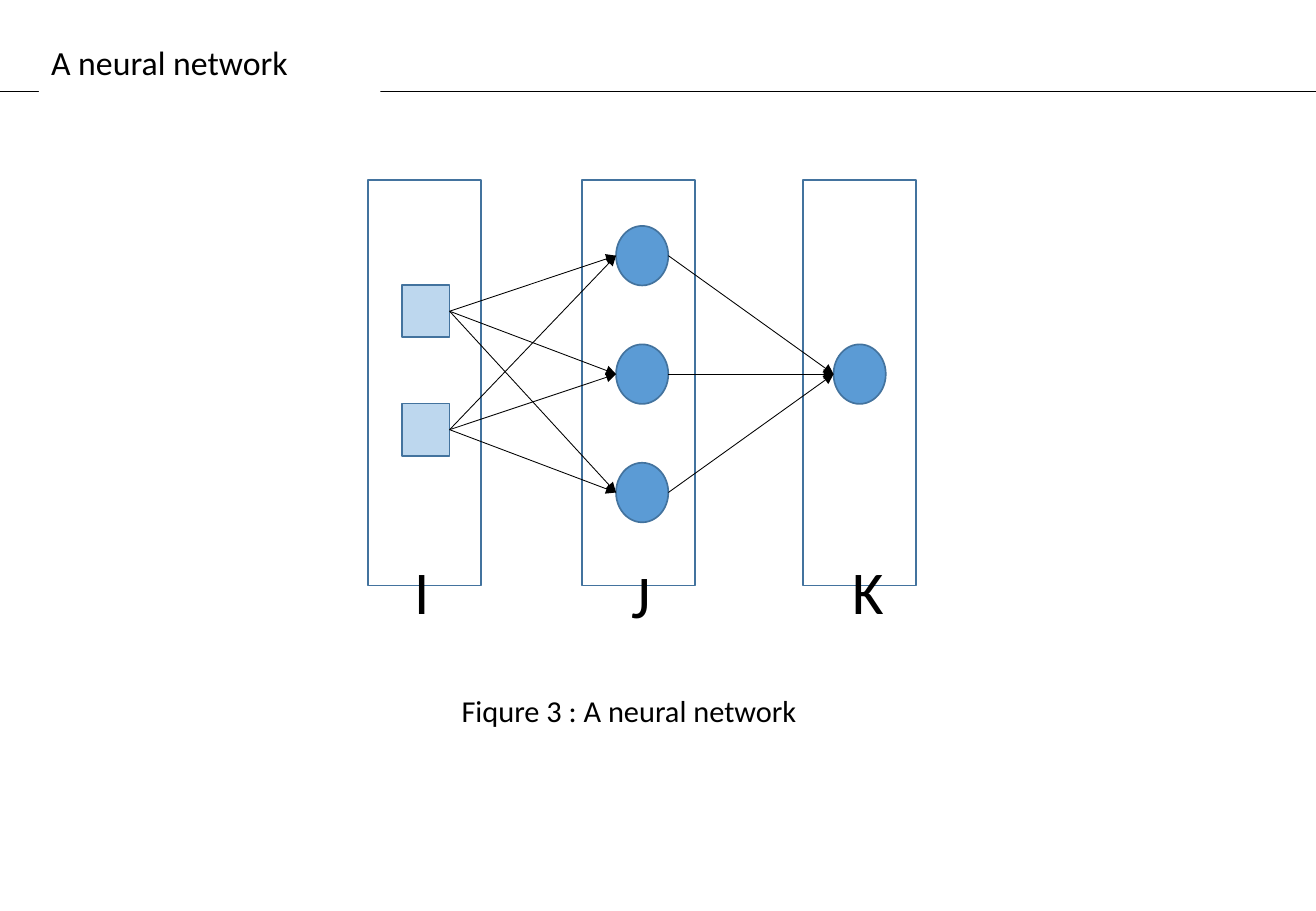
from itertools import pairwise, product

from lxml.etree import SubElement
from pptx import Presentation
from pptx.dml.color import RGBColor
from pptx.enum.shapes import MSO_CONNECTOR, MSO_SHAPE
from pptx.enum.text import MSO_ANCHOR, MSO_AUTO_SIZE, PP_ALIGN
from pptx.oxml.ns import qn
from pptx.util import Inches, Pt

TITLE = "A neural network"
CAPTION = "Fiqure 3 : A neural network"
SQUARE = dict(kind=MSO_SHAPE.RECTANGLE, size=(0.39, 0.43), fill="input")
CIRCLE = dict(kind=MSO_SHAPE.OVAL, size=(0.43, 0.49), fill="neuron")
LAYERS = [
    dict(name="I", nodes=2, style=SQUARE, box_x=3.03, node_x=3.31, mid_y=3.05, label=(3.31, 4.51)),
    dict(name="J", nodes=3, style=CIRCLE, box_x=4.79, node_x=5.07, mid_y=3.08, label=(5.1, 4.54)),
    dict(name="K", nodes=1, style=CIRCLE, box_x=6.61, node_x=6.86, mid_y=3.08, label=(6.92, 4.51)),
]
THEME = dict(
    font="Calibri", title=20, caption=18, label=36, thin=0.5, outline=1,
    text="000000", paper="FFFFFF", edge="43739E", input="BDD7EE", neuron="5B9BD5",
)
WIDTH, HEIGHT = 10.83, 7.5
RULE_Y = HEIGHT / 10
BOX_TOP, BOX_SIZE = 1.48, (0.93, 3.34)
NODE_PITCH = 0.975


def color(name):
    return RGBColor.from_string(THEME[name])


def add_shape(kind, x, y, size, fill=None):
    s = shapes.add_shape(kind, *map(Inches, (x, y, *size)))
    s.shadow.inherit = False
    if fill:
        s.fill.solid()
        s.fill.fore_color.rgb = color(fill)
    else:
        s.fill.background()
    s.line.color.rgb = color("edge")
    s.line.width = Pt(THEME["outline"])


def add_line(start, end, arrow=False):
    s = shapes.add_connector(MSO_CONNECTOR.STRAIGHT, *map(Inches, (*start, *end)))
    s.line.color.rgb = color("text")
    s.line.width = Pt(THEME["thin"])
    if arrow:
        SubElement(s.line._get_or_add_ln(), qn("a:tailEnd"), type="triangle")
    SubElement(s._element.spPr, qn("a:effectLst"))
    return s


def set_text(s, text, size, fill=None, spacing=None):
    if fill:
        s.fill.solid()
        s.fill.fore_color.rgb = color(fill)
    tf = s.text_frame
    tf.text = text
    tf.word_wrap = True
    tf.auto_size = MSO_AUTO_SIZE.NONE
    tf.vertical_anchor = MSO_ANCHOR.TOP
    p = tf.paragraphs[0]
    p.alignment = PP_ALIGN.LEFT
    p.line_spacing = spacing
    p.font.name = THEME["font"]
    p.font.size = Pt(THEME[size])
    p.font.color.rgb = color("text")


def add_text(x, y, w, h, text, size, **options):
    set_text(shapes.add_textbox(*map(Inches, (x, y, w, h))), text, size, **options)


def node_centers(layer):
    first = layer["mid_y"] - (layer["nodes"] - 1) * NODE_PITCH / 2
    return [first + i * NODE_PITCH for i in range(layer["nodes"])]


prs = Presentation()
prs.slide_width, prs.slide_height = Inches(WIDTH), Inches(HEIGHT)
slide = prs.slides.add_slide(prs.slide_layouts[5])
shapes = slide.shapes

title = shapes.title
title.left, title.top, title.width, title.height = map(Inches, (0.32, 0.33, 2.81, 0.5))
set_text(title, TITLE, "title", fill="paper", spacing=0.9)
rule = add_line((0, RULE_Y), (WIDTH, RULE_Y))
title._element.addprevious(rule._element)
add_text(3.7, 5.68, 4.31, 0.37, CAPTION, "caption", fill="paper", spacing=0.9)

for layer in LAYERS:
    style = layer["style"]
    for y in node_centers(layer):
        add_shape(style["kind"], layer["node_x"], y - style["size"][1] / 2, style["size"], style["fill"])
    add_shape(MSO_SHAPE.RECTANGLE, layer["box_x"], BOX_TOP, BOX_SIZE)
    add_text(*layer["label"], 0.39, 0.71, layer["name"], "label")

for source, target in pairwise(LAYERS):
    right = source["node_x"] + source["style"]["size"][0]
    for y1, y2 in product(node_centers(source), node_centers(target)):
        add_line((right, y1), (target["node_x"], y2), arrow=True)

prs.save("out.pptx")
